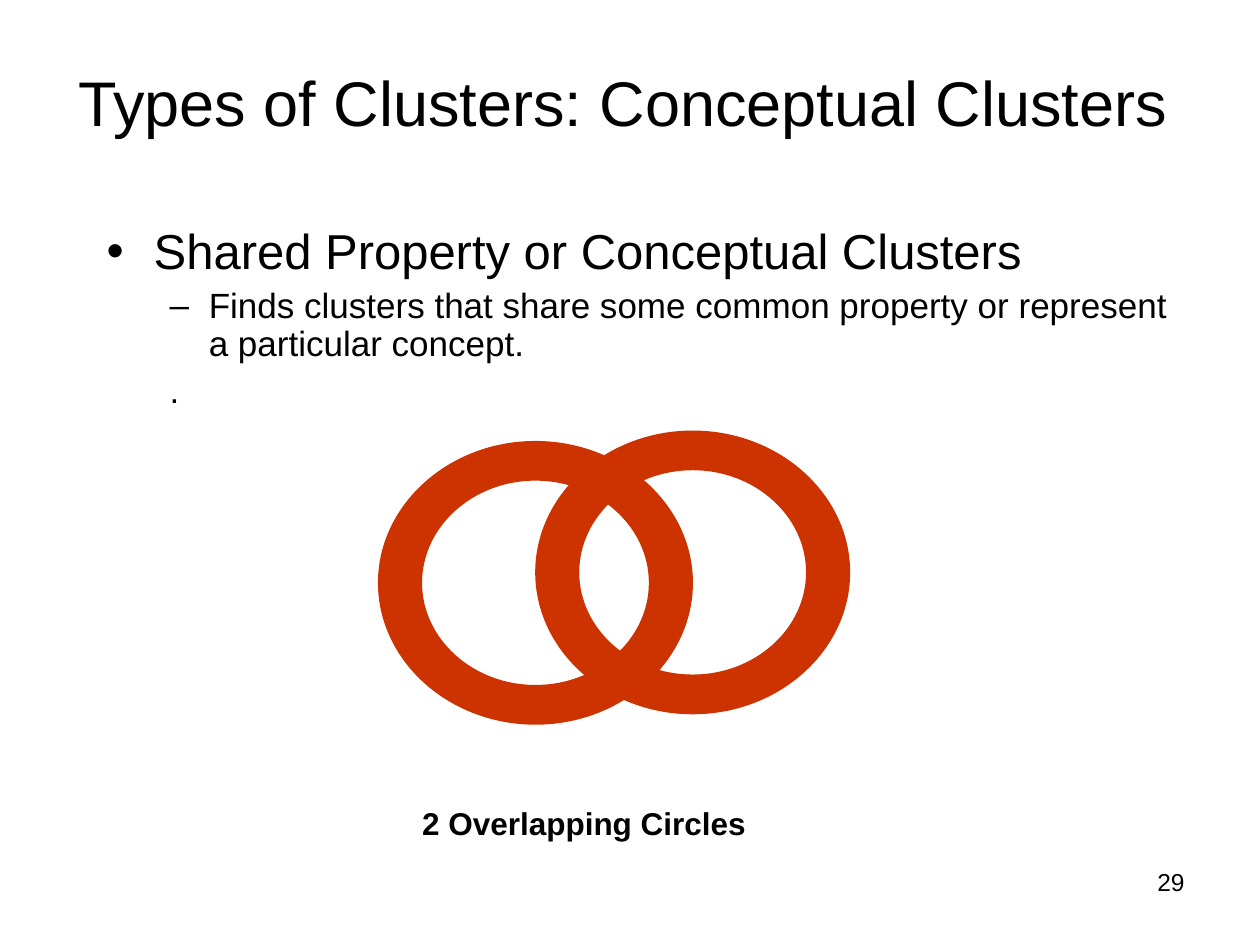
import itertools
from dataclasses import dataclass

import pptx
import pptx.dml.color
import pptx.enum.text
import pptx.util
from lxml import etree

Cm = pptx.util.Cm
Align = pptx.enum.text.PP_ALIGN
Anchor = pptx.enum.text.MSO_ANCHOR
qn = pptx.oxml.ns.qn


@dataclass(frozen=True)
class Theme:
    font: str = "Arial"
    ink: str = "000000"
    paper: str = "FFFFFF"
    ring: str = "CC3300"
    title: int = 36
    heading: int = 28
    detail: int = 20
    caption: int = 18
    number: int = 14


def rgb(value):
    return pptx.dml.color.RGBColor.from_string(value)


def write(paragraph, text, *, theme, size, bold=False, align=Align.LEFT,
          before=0, spacing=1.0, level=0, left=0, hanging=0, bullet=None):
    """Put formatted text, with an optional bullet, into a paragraph."""
    paragraph.level = level
    paragraph.alignment = align
    paragraph.space_before = pptx.util.Pt(before)
    paragraph.line_spacing = spacing
    if left:
        properties = paragraph._p.get_or_add_pPr()
        properties.set("marL", str(Cm(left)))
        properties.set("indent", str(-Cm(hanging)))
        if bullet:
            etree.SubElement(properties, qn("a:buFont")).set(
                "typeface", theme.font)
            etree.SubElement(properties, qn("a:buChar")).set("char", bullet)
    run = paragraph.add_run()
    run.text = text
    run.font.name = theme.font
    run.font.size = pptx.util.Pt(size)
    run.font.bold = bold
    run.font.color.rgb = rgb(theme.ink)


def curve_segments(shape):
    """Turn every three straight segments into one Bézier curve."""
    segments = list(shape._element.iter(qn("a:lnTo")))
    for first, second, third in zip(*[iter(segments)] * 3):
        curve = etree.Element(qn("a:cubicBezTo"))
        first.addprevious(curve)
        for segment in (first, second, third):
            curve.append(segment[0])
            segment.getparent().remove(segment)


class SlideBuilder:
    def __init__(self, slide, theme):
        self.slide = slide
        self.theme = theme
        slide.background.fill.solid()
        slide.background.fill.fore_color.rgb = rgb(theme.paper)

    def text(self, left, top, width, height, entries, anchor=Anchor.TOP):
        """Add a text box; entries are (text, format) pairs."""
        box = self.slide.shapes.add_textbox(
            Cm(left), Cm(top), Cm(width), Cm(height))
        frame = box.text_frame
        frame.word_wrap = True
        frame.vertical_anchor = anchor
        for index, (text, style) in enumerate(entries):
            paragraph = frame.add_paragraph() if index else frame.paragraphs[0]
            write(paragraph, text, theme=self.theme, **style)

    def ring(self, left, top, width, height, hole=0.72):
        """Add an elliptical ring whose hole is a fixed share of its size."""
        bend = 0.55  # control point distance for a quarter of an ellipse
        quadrants = [(-1, 0), (0, -1), (1, 0), (0, 1)]

        def ellipse(scale, corners):
            units = [corners[0]]
            for (ax, ay), (bx, by) in itertools.pairwise(corners + corners[:1]):
                units += [(ax + bend * bx, ay + bend * by),
                          (bx + bend * ax, by + bend * ay), (bx, by)]
            return [(Cm(left + width / 2 * (1 + scale * x)),
                     Cm(top + height / 2 * (1 + scale * y)))
                    for x, y in units]

        outer = ellipse(1, quadrants)
        inner = ellipse(hole, quadrants[:1] + quadrants[:0:-1])
        outline = self.slide.shapes.build_freeform(*outer[0])
        outline.add_line_segments(outer[1:], close=True)
        outline.move_to(*inner[0])
        outline.add_line_segments(inner[1:], close=True)
        shape = outline.convert_to_shape()
        curve_segments(shape)
        shape.shadow.inherit = False
        shape.fill.solid()
        shape.fill.fore_color.rgb = rgb(self.theme.ring)
        shape.line.fill.background()


def main():
    theme = Theme()
    deck = pptx.Presentation()
    deck.slide_width, deck.slide_height = Cm(25.4), Cm(19.05)
    builder = SlideBuilder(deck.slides.add_slide(deck.slide_layouts[6]), theme)

    # Page number and title
    builder.text(18.21, 17.35, 5.92, 1.32,
                 [("29", dict(size=theme.number, align=Align.RIGHT))])
    builder.text(1.05, 1.29, 23.01, 1.52,
                 [("Types of Clusters: Conceptual Clusters",
                   dict(size=theme.title, align=Align.CENTER))],
                 anchor=Anchor.MIDDLE)

    # Definition
    heading = dict(size=theme.heading, spacing=0.9, left=0.95, hanging=0.95)
    detail = dict(size=theme.detail, spacing=0.9, before=5, level=1,
                  left=2.06, hanging=0.79)
    builder.text(1.9, 4.45, 22, 12.4, [
        ("Shared Property or Conceptual Clusters", dict(heading, bullet="•")),
        ("Finds clusters that share some common property or represent "
         "a particular concept.", dict(detail, bullet="–")),
        (".", detail),
    ])

    # Overlapping circles with their caption
    builder.text(8.26, 16.08, 8.89, 1.02,
                 [("2 Overlapping Circles",
                   dict(size=theme.caption, bold=True))])
    for left, top in ((7.62, 8.89), (10.79, 8.68)):
        builder.ring(left, top, 6.35, 5.72)

    deck.save("out.pptx")


if __name__ == "__main__":
    main()
